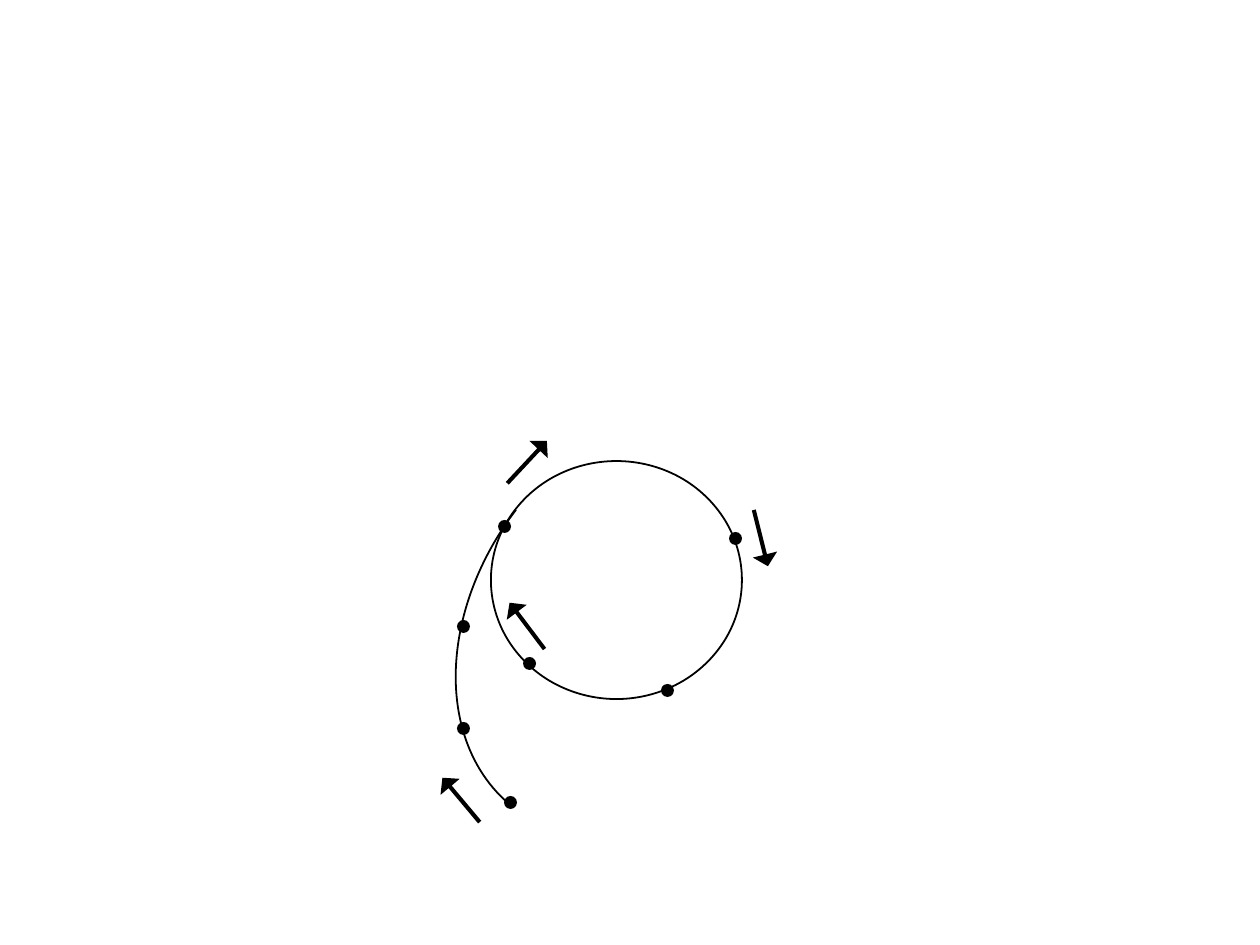
from dataclasses import dataclass

from pptx import Presentation
from pptx.dml.color import RGBColor
from pptx.enum.shapes import MSO_SHAPE as SHAPE
from pptx.util import Pt

PX = 914400 / 252  # EMU in one px


@dataclass(frozen=True)
class Theme:
    ink: RGBColor = RGBColor(0, 0, 0)
    line: float = 0.5
    dot: int = 13
    arrow_w: int = 25
    arrow_h: int = 58


THEME = Theme()


def emu(px):
    return round(px * PX)


def add_shape(slide, kind, x, y, w, h, rotation=0, adjustments=()):
    s = slide.shapes.add_shape(kind, emu(x), emu(y), emu(w), emu(h))
    s.shadow.inherit = False
    s.rotation = rotation
    for i, value in enumerate(adjustments):
        s.adjustments[i] = value
    return s


def outline(s):
    s.fill.background()
    s.line.color.rgb = THEME.ink
    s.line.width = Pt(THEME.line)


def solid(s):
    s.fill.solid()
    s.fill.fore_color.rgb = THEME.ink
    s.line.fill.background()


def add_orbit(slide, left, top):
    """Closed orbit with its approach path, moving dots and direction arrows."""
    # Orbit and approach path
    outline(add_shape(slide, SHAPE.OVAL, left + 51, top + 81, 251, 238))
    outline(add_shape(slide, SHAPE.ARC, left + 39, top + 1, 360, 476,
                      217.4, (163.02, 0)))

    # Dots, by top left corner: three on the path, four on the orbit
    path_dots = [(64, 416), (17, 342), (17, 240)]
    orbit_dots = [(58, 140), (289, 152), (221, 304), (83, 277)]
    for x, y in path_dots + orbit_dots:
        solid(add_shape(slide, SHAPE.OVAL, left + x, top + y,
                        THEME.dot, THEME.dot))

    # Direction arrows, by centre and rotation
    arrows = [(21, 420, 140), (87, 82, 223), (321, 158, 346), (87, 246, 143)]
    for x, y, rotation in arrows:
        solid(add_shape(slide, SHAPE.DOWN_ARROW,
                        left + x - THEME.arrow_w / 2,
                        top + y - THEME.arrow_h / 2,
                        THEME.arrow_w, THEME.arrow_h, rotation, (0.16, 0.48)))


def main():
    prs = Presentation()
    prs.slide_width, prs.slide_height = emu(1260), emu(945)
    slide = prs.slides.add_slide(prs.slide_layouts[6])
    add_orbit(slide, 440, 380)
    prs.save("out.pptx")


if __name__ == "__main__":
    main()
